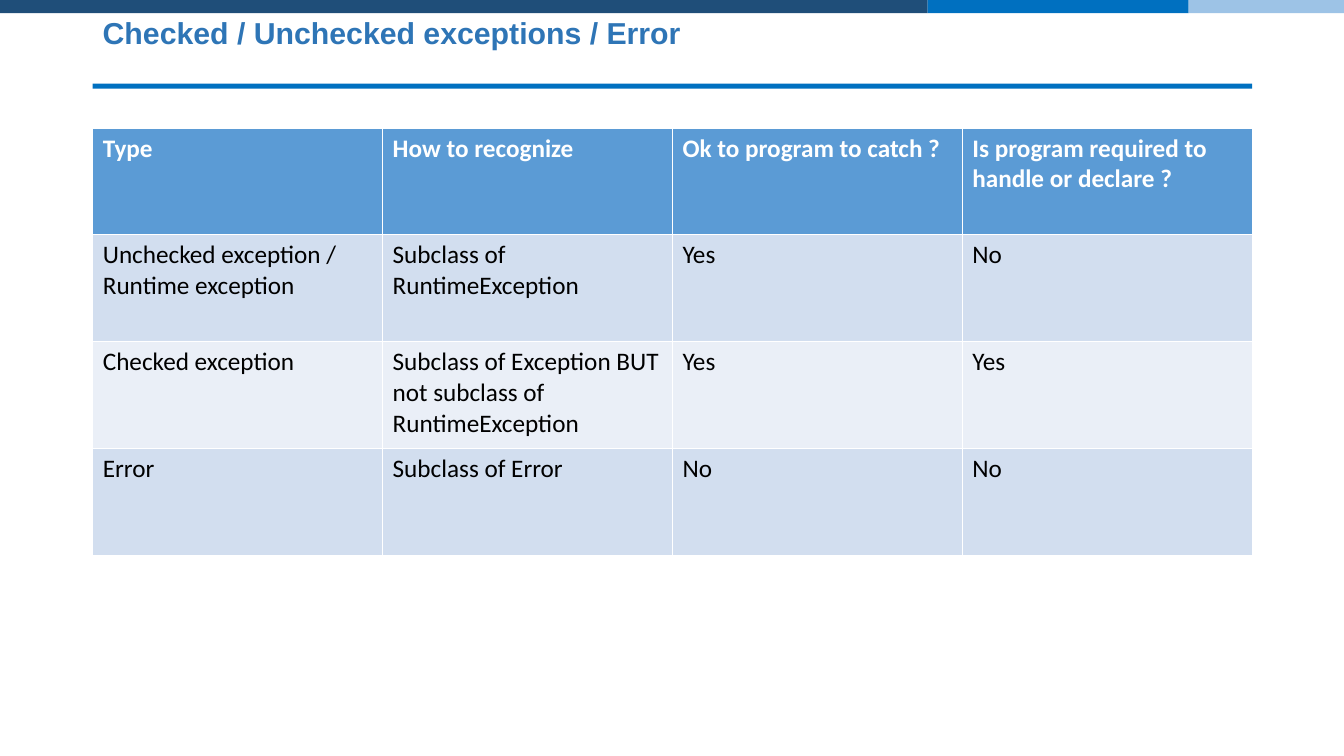
from pptx import Presentation
from pptx.dml.color import RGBColor
from pptx.enum.shapes import MSO_SHAPE as Shape
from pptx.enum.text import MSO_ANCHOR as Anchor
from pptx.util import Inches, Pt

NAVY = RGBColor(0x1F, 0x4E, 0x79)
BLUE = RGBColor(0x00, 0x70, 0xC0)
SKY = RGBColor(0x9D, 0xC3, 0xE6)
TITLE_BLUE = RGBColor(0x2E, 0x75, 0xB6)
HEADER_BLUE = RGBColor(0x5B, 0x9B, 0xD5)
BANDS = [RGBColor(0xD2, 0xDE, 0xEF), RGBColor(0xEA, 0xEF, 0xF7)]
WHITE = RGBColor(0xFF, 0xFF, 0xFF)
BLACK = RGBColor(0x00, 0x00, 0x00)

TITLE = "Checked / Unchecked exceptions / Error"
EXCEPTION_TYPES = [
    ["Type", "How to recognize", "Ok to program to catch ?",
     "Is program required to handle or declare ?"],
    ["Unchecked exception / Runtime exception",
     "Subclass of RuntimeException", "Yes", "No"],
    ["Checked exception",
     "Subclass of Exception BUT not subclass of RuntimeException", "Yes", "Yes"],
    ["Error", "Subclass of Error", "No", "No"],
]


def add_bar(slide, left, top, width, height, color):
    bar = slide.shapes.add_shape(
        Shape.RECTANGLE, Inches(left), Inches(top), Inches(width), Inches(height))
    bar.shadow.inherit = False
    bar.fill.solid()
    bar.fill.fore_color.rgb = color
    bar.line.fill.background()


def add_top_band(slide, left, top, height):
    for width, color in [(9.2, NAVY), (2.59, BLUE), (1.56, SKY)]:
        add_bar(slide, left, top, width, height, color)
        left += width


def style_runs(paragraph, font_name, size, color, bold):
    for run in paragraph.runs:
        run.font.name = font_name
        run.font.size = Pt(size)
        run.font.color.rgb = color
        run.font.bold = bold


def add_title(slide, left, top, width, height):
    title = slide.shapes.add_textbox(
        Inches(left), Inches(top), Inches(width), Inches(height))
    frame = title.text_frame
    frame.word_wrap = True
    frame.vertical_anchor = Anchor.MIDDLE
    frame.margin_top = 0
    frame.margin_bottom = Inches(0.31)
    frame.text = TITLE
    heading = frame.paragraphs[0]
    heading.line_spacing = 0.9
    style_runs(heading, "Arial", 21.6, TITLE_BLUE, True)
    add_bar(slide, left, top + height + 0.07, width, 0.05, BLUE)


def add_exception_table(slide, left, top, width, height):
    table = slide.shapes.add_table(
        len(EXCEPTION_TYPES), len(EXCEPTION_TYPES[0]),
        Inches(left), Inches(top), Inches(width), Inches(height)).table
    for row, texts in enumerate(EXCEPTION_TYPES):
        is_header = row == 0
        for column, text in enumerate(texts):
            cell = table.cell(row, column)
            cell.fill.solid()
            cell.fill.fore_color.rgb = HEADER_BLUE if is_header else BANDS[(row - 1) % 2]
            cell.text_frame.text = text
            style_runs(cell.text_frame.paragraphs[0], "Calibri", 18,
                       WHITE if is_header else BLACK, is_header)


def main():
    deck = Presentation()
    deck.slide_width = Inches(13.33)
    deck.slide_height = Inches(7.5)
    slide = deck.slides.add_slide(deck.slide_layouts[6])
    add_top_band(slide, 0, -0.01, 0.14)
    add_title(slide, 0.92, 0.24, 11.5, 0.52)
    add_exception_table(slide, 0.92, 1.27, 11.5, 4.24)
    deck.save("out.pptx")


if __name__ == "__main__":
    main()
